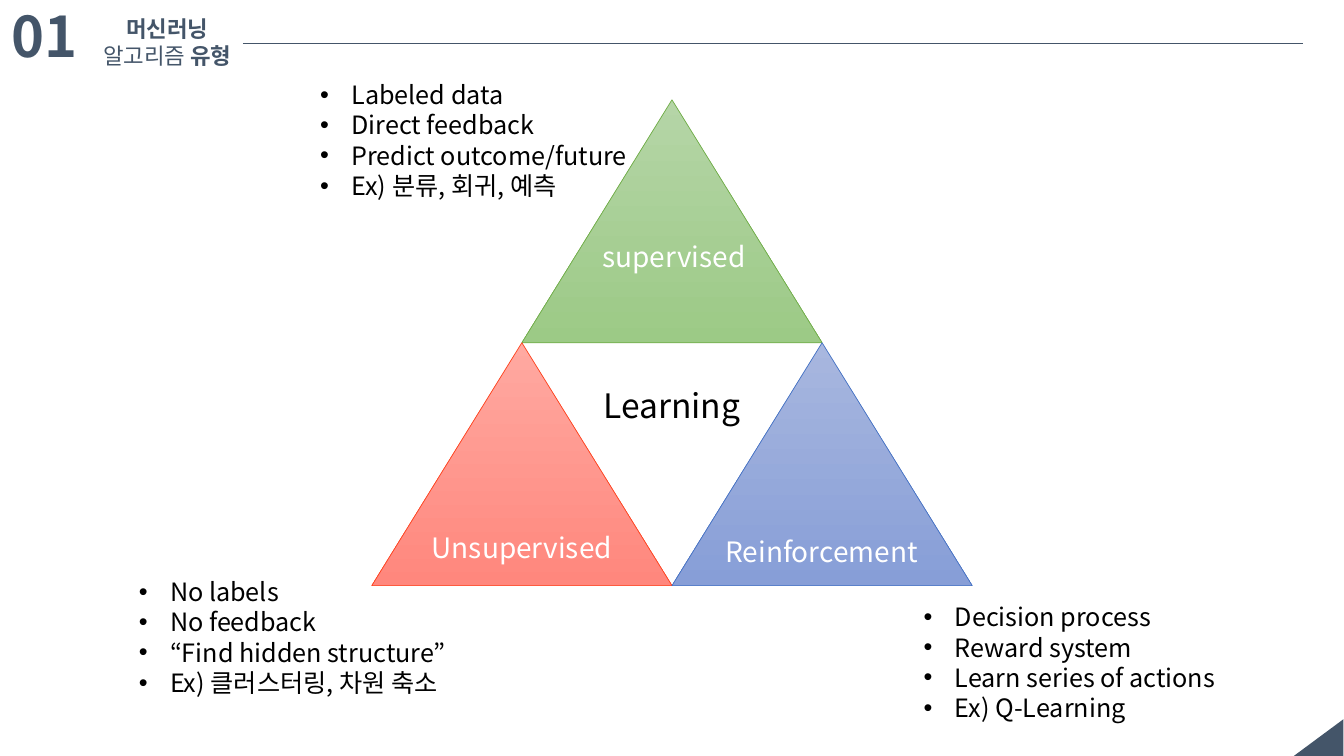
from dataclasses import dataclass

from lxml import etree
from pptx import Presentation
from pptx.dml.color import RGBColor
from pptx.enum import shapes, text
from pptx.oxml import ns
from pptx.util import Inches, Pt


@dataclass(frozen=True)
class Theme:
    font: str = "Noto Sans CJK KR"
    navy: str = "445569"
    black: str = "000000"
    white: str = "FFFFFF"
    number_size: int = 40
    hub_size: int = 24
    label_size: int = 20
    note_size: int = 18
    title_size: int = 16


THEME = Theme()

NUMBER = "01"
# Each title line is a list of (words, bold)
TITLE = [[("머신러닝", True)], [("알고리즘", False), (" 유형", True)]]
HUB = ("Learning", (5.6, 3.77, 2.14, 0.5))

# column (in half sides), row, gradient top, gradient bottom, outline, label, label box
TRIANGLES = [
    (1, 0, "B5D5A7", "9CCA86", "70AD47", "supervised", (5.62, 2.33, 2.14, 0.44)),
    (0, 1, "FFA9A1", "FF877D", "FE431E", "Unsupervised", (3.9, 5.21, 2.56, 0.44)),
    (2, 1, "A8B7DF", "879ED7", "4472C4", "Reinforcement", (6.78, 5.25, 2.75, 0.44)),
]
NOTES = [
    ((3.08, 0.74, 3.27, 1.3),
     ["Labeled data", "Direct feedback", "Predict outcome/future", "Ex) 분류, 회귀, 예측"]),
    ((1.28, 5.67, 3.27, 1.6),
     ["No labels", "No feedback", "“Find hidden structure”", "Ex) 클러스터링, 차원 축소"]),
    ((9.07, 5.92, 3.27, 1.3),
     ["Decision process", "Reward system", "Learn series of actions", "Ex) Q-Learning"]),
]
PYRAMID_LEFT, PYRAMID_TOP = 3.69, 0.99
SIDE, HEIGHT = 2.98, 2.41
NOTE_INDENT = 0.31


def rgb(color):
    return RGBColor.from_string(color)


def inches(*lengths):
    return [Inches(length) for length in lengths]


def add_bullet(paragraph):
    properties = paragraph._p.get_or_add_pPr()
    properties.set("marL", str(Inches(NOTE_INDENT)))
    properties.set("indent", str(-Inches(NOTE_INDENT)))
    etree.SubElement(properties, ns.qn("a:buFont")).set("typeface", "Arial")
    etree.SubElement(properties, ns.qn("a:buChar")).set("char", "•")


def style(paragraph, size, color):
    """Set the paragraph font, for Latin and Korean letters alike."""
    font = paragraph.font
    font.size, font.name = Pt(size), THEME.font
    font.color.rgb = rgb(color)
    defaults = paragraph._p.pPr.find(ns.qn("a:defRPr"))
    latin = defaults.find(ns.qn("a:latin"))
    east_asian = etree.Element(ns.qn("a:ea"), typeface=THEME.font)
    latin.addnext(east_asian)


def add_text(parent, box, lines, size, color, align=None, wrap=True, bullets=False):
    """Add a text box; each line is a list of (words, bold)."""
    frame = parent.add_textbox(*inches(*box)).text_frame
    frame.word_wrap = wrap
    for index, line in enumerate(lines):
        paragraph = frame.add_paragraph() if index else frame.paragraphs[0]
        paragraph.alignment = align
        if bullets:
            add_bullet(paragraph)
        style(paragraph, size, color)
        for words, bold in line:
            run = paragraph.add_run()
            run.text, run.font.bold = words, bold


def add_corner(slide):
    corner = slide.shapes.add_shape(
        shapes.MSO_SHAPE.RIGHT_TRIANGLE, *inches(12.9, 7.07, 0.37, 0.5))
    corner.rotation = 270
    corner.shadow.inherit = False
    corner.fill.solid()
    corner.fill.fore_color.rgb = rgb(THEME.navy)
    corner.line.fill.background()


def add_header(slide, center):
    add_text(slide.shapes, (0.02, -0.03, 1.27, 0.77), [[(NUMBER, True)]],
             THEME.number_size, THEME.navy)
    add_text(slide.shapes, (0.92, 0.1, 1.48, 0.64), TITLE,
             THEME.title_size, THEME.navy, center, wrap=False)
    rule = slide.shapes.add_connector(
        shapes.MSO_CONNECTOR.STRAIGHT, *inches(2.41, 0.43, 12.93, 0.43))
    rule.line.color.rgb = rgb(THEME.navy)
    rule.line.width = Pt(0.75)
    etree.SubElement(rule._element.spPr, ns.qn("a:effectLst"))


def add_triangle(parent, column, row, top_color, bottom_color, outline):
    triangle = parent.add_shape(
        shapes.MSO_SHAPE.ISOSCELES_TRIANGLE,
        *inches(PYRAMID_LEFT + column * SIDE / 2, PYRAMID_TOP + row * HEIGHT, SIDE, HEIGHT))
    triangle.shadow.inherit = False
    triangle.fill.gradient()
    triangle.fill.gradient_angle = 270
    for stop, position, color in zip(
            triangle.fill.gradient_stops, (0, 1), (top_color, bottom_color)):
        stop.position = position
        stop.color.rgb = rgb(color)
    triangle.line.color.rgb = rgb(outline)
    triangle.line.width = Pt(0.5)


def add_pyramid(slide, center):
    pyramid = slide.shapes.add_group_shape().shapes
    for *triangle, _, _ in TRIANGLES:
        add_triangle(pyramid, *triangle)
    hub, hub_box = HUB
    add_text(pyramid, hub_box, [[(hub, None)]], THEME.hub_size, THEME.black, center)
    for *_, label, label_box in TRIANGLES:
        add_text(pyramid, label_box, [[(label, None)]],
                 THEME.label_size, THEME.white, center)


def main():
    deck = Presentation()
    deck.slide_width, deck.slide_height = inches(13.34, 7.5)
    slide = deck.slides.add_slide(deck.slide_layouts[6])
    center = text.PP_ALIGN.CENTER

    add_corner(slide)
    add_header(slide, center)
    add_pyramid(slide, center)
    for box, points in NOTES:
        add_text(slide.shapes, box, [[(point, None)] for point in points],
                 THEME.note_size, THEME.black, bullets=True)
    deck.save("out.pptx")


if __name__ == "__main__":
    main()
